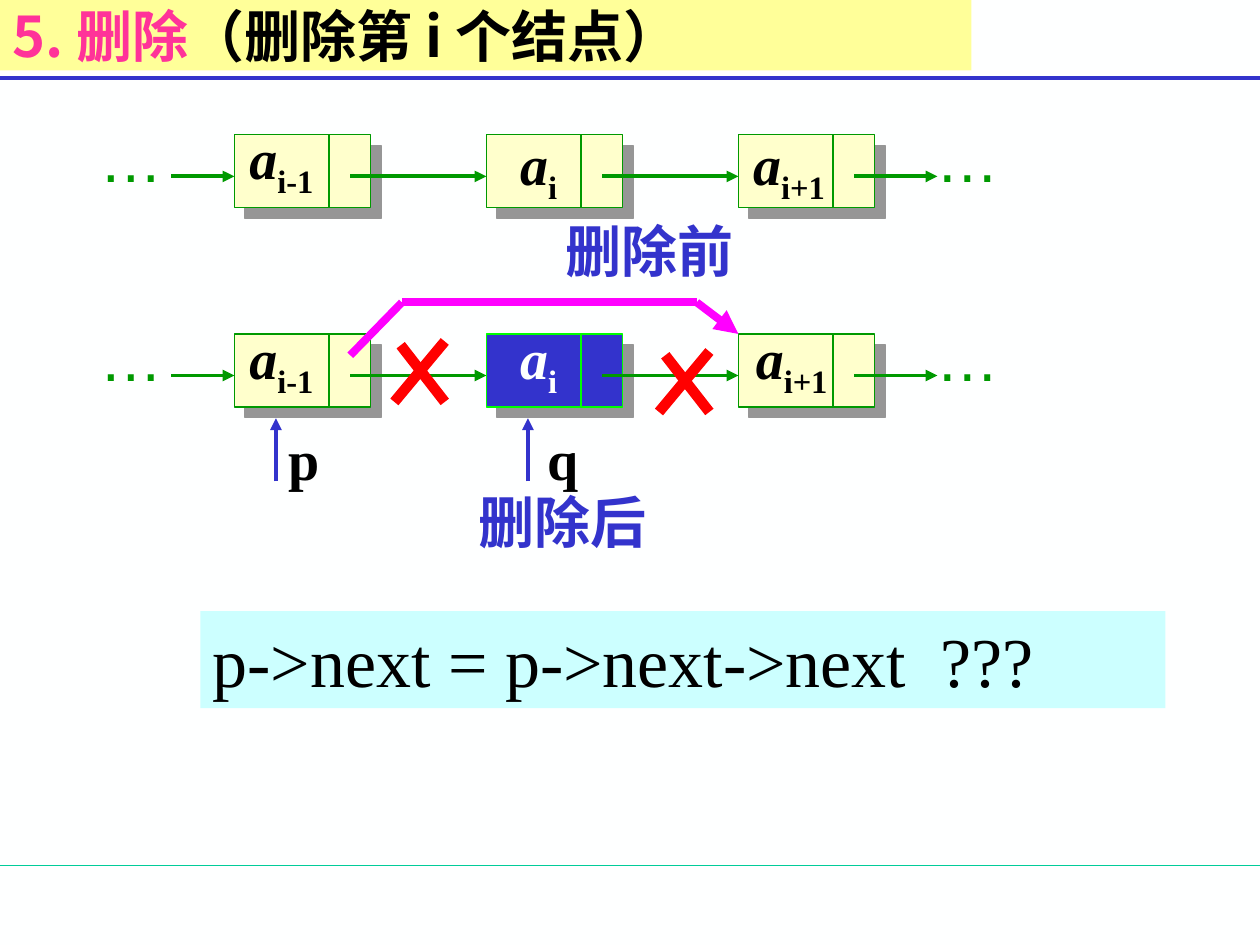
from lxml.etree import SubElement
from pptx import Presentation
from pptx.dml.color import RGBColor
from pptx.enum.shapes import MSO_CONNECTOR, MSO_SHAPE
from pptx.enum.text import MSO_ANCHOR, MSO_AUTO_SIZE, PP_ALIGN
from pptx.oxml.ns import qn
from pptx.util import Inches, Pt

COLORS = {
    "background": "FEFFFF", "black": "000000", "blue": "3333CC", "teal": "00CC99",
    "banner": "FFFF99", "pink": "FF3399", "code": "CCFFFF", "green": "009900",
    "node": "FFFFCC", "shadow": "969696", "lime": "00FF00", "magenta": "FF00FF",
    "red": "FF0000",
}
SERIF, SANS, CHINESE = "Times New Roman", "Arial", "Noto Sans CJK SC"
NODE_LEFTS = (1.86, 3.86, 5.86)
NODE_WIDTH, NODE_HEIGHT = 1.08, 0.58


def color(name):
    """Return the named colour."""
    return RGBColor.from_string(COLORS[name])


def add_line(shapes, start, end, color_name, width, arrow=False):
    """Draw a straight line, with an arrowhead at its end if asked."""
    line = shapes.add_connector(
        MSO_CONNECTOR.STRAIGHT, *(Inches(value) for value in (*start, *end)))
    line.line.color.rgb = color(color_name)
    line.line.width = Pt(width)
    if arrow:
        SubElement(line.line._get_or_add_ln(), qn("a:tailEnd"), type="triangle")
    SubElement(line._element.spPr, qn("a:effectLst"))


def add_run(paragraph, text, color_name, baseline=None, **formats):
    """Append a run with the given font values."""
    run = paragraph.add_run()
    run.text = text
    for key, value in {"size": Pt(32), "name": SERIF, **formats}.items():
        setattr(run.font, key, value)
    run.font.color.rgb = color(color_name)
    properties = run._r.get_or_add_rPr()
    SubElement(properties, qn("a:ea"), typeface=CHINESE)
    if baseline:
        properties.set("baseline", str(baseline))


def format_frame(frame, wrap, anchor=MSO_ANCHOR.TOP):
    """Set up a text frame and return its first paragraph."""
    values = {
        "word_wrap": wrap, "auto_size": MSO_AUTO_SIZE.NONE, "vertical_anchor": anchor,
        "margin_left": Inches(0.1), "margin_right": Inches(0.1),
        "margin_top": Inches(0.05), "margin_bottom": Inches(0.05),
    }
    for key, value in values.items():
        setattr(frame, key, value)
    paragraph = frame.paragraphs[0]
    paragraph.alignment = PP_ALIGN.LEFT
    return paragraph


def add_label(slide, box, text, color_name, subscript=None, **formats):
    """Add an unwrapped label, with an optional subscript."""
    label = slide.shapes.add_textbox(*(Inches(value) for value in box))
    paragraph = format_frame(label.text_frame, False)
    add_run(paragraph, text, color_name, **formats)
    if subscript:
        add_run(paragraph, subscript, color_name, baseline=-25000, bold=True)


def add_rectangle(slide, box, fill, outline=None):
    """Add a filled rectangle without a shadow."""
    shape = slide.shapes.add_shape(
        MSO_SHAPE.RECTANGLE, *(Inches(value) for value in box))
    shape.fill.solid()
    shape.fill.fore_color.rgb = color(fill)
    if outline:
        shape.line.color.rgb = color(outline)
        shape.line.width = Pt(0.75)
    else:
        shape.line.fill.background()
    shape.shadow.inherit = False
    return shape


def add_node(slide, left, top, fill, outline):
    """Add a shadowed list node with a pointer cell."""
    node = add_rectangle(slide, (left, top, NODE_WIDTH, NODE_HEIGHT), fill, outline)
    effects = node._element.spPr.find(qn("a:effectLst"))
    shadow = SubElement(effects, qn("a:outerShdw"), dist=str(Pt(8.5)),
                        dir="2700000", algn="ctr", rotWithShape="0")
    SubElement(shadow, qn("a:srgbClr"), val=COLORS["shadow"])
    divider = left + 0.75
    add_line(slide.shapes, (divider, top), (divider, top + NODE_HEIGHT), outline, 1.5)


def add_list(slide, top, deleted=None):
    """Add a row of linked nodes, highlighting the deleted one."""
    middle = top + 0.33
    add_line(slide.shapes, (1.36, middle), (1.86, middle), "green", 2.25, True)
    ends = (*NODE_LEFTS[1:], 7.44)
    for index, (left, end) in enumerate(zip(NODE_LEFTS, ends)):
        fill, outline = ("blue", "lime") if index == deleted else ("node", "green")
        add_node(slide, left, top, fill, outline)
        add_line(slide.shapes, (left + 0.92, middle), (end, middle), "green", 2.25, True)
    for left in (0.69, 7.33):
        add_label(slide, (left, top - 0.17, 0.7, 0.7), "…", "green",
                  size=Pt(36), name=SANS)


def add_cross(slide, left, top):
    """Add a grouped cross over a removed link."""
    shapes = slide.shapes.add_group_shape().shapes
    add_line(shapes, (left + 0.05, top + 0.03), (left + 0.4, top + 0.48), "red", 6)
    add_line(shapes, (left + 0.4, top), (left, top + 0.48), "red", 6)


def add_title(slide):
    """Place and format the title banner."""
    title = slide.shapes.title
    title.left, title.top, title.width, title.height = (
        Inches(value) for value in (0, 0, 7.71, 0.56))
    title.fill.solid()
    title.fill.fore_color.rgb = color("banner")
    paragraph = format_frame(title.text_frame, True, MSO_ANCHOR.MIDDLE)
    add_run(paragraph, "5. 删除", "pink", name=CHINESE, bold=True)
    add_run(paragraph, "（删除第 i 个结点）", "black", name=CHINESE, bold=True)


def main():
    """Build the slide on deleting a linked list node."""
    presentation = Presentation()
    presentation.slide_width, presentation.slide_height = Inches(10), Inches(7.5)
    slide = presentation.slides.add_slide(presentation.slide_layouts[5])
    slide.background.fill.solid()
    slide.background.fill.fore_color.rgb = color("background")
    add_title(slide)
    add_line(slide.shapes, (0, 6.87), (10, 6.87), "teal", 0.75)
    add_line(slide.shapes, (0, 0.62), (10, 0.62), "blue", 2.25)

    code = add_rectangle(slide, (1.59, 4.85, 7.66, 0.77), "code")
    add_run(format_frame(code.text_frame, True),
            "p->next = p->next->next  ???", "black", size=Pt(40))

    add_list(slide, 1.07)
    add_list(slide, 2.65, deleted=1)
    for left, top, width, subscript, color_name in (
        (1.88, 0.93, 0.71, "i-1", "black"),
        (1.88, 2.52, 0.71, "i-1", "black"),
        (4.03, 0.98, 0.49, "i", "black"),
        (4.03, 2.52, 0.49, "i", "background"),
        (5.88, 0.98, 0.77, "i+1", "black"),
        (5.9, 2.52, 0.77, "i+1", "black"),
    ):
        add_label(slide, (left, top, width, 0.71), "a", color_name, subscript,
                  bold=True, italic=True)

    for pointer, arrow_left, label_left in (("p", 2.19, 2.19), ("q", 4.19, 4.25)):
        add_line(slide.shapes, (arrow_left, 3.82), (arrow_left, 3.32), "blue", 2.25, True)
        add_label(slide, (label_left, 3.32, 0.45, 0.64), pointer, "black", bold=True)

    add_line(slide.shapes, (2.78, 2.82), (3.19, 2.4), "magenta", 4.5)
    add_line(slide.shapes, (5.53, 2.4), (5.86, 2.65), "magenta", 4.5, True)
    add_line(slide.shapes, (5.53, 2.4), (3.19, 2.4), "magenta", 4.5)

    for text, left, top in (("删除前", 4.39, 1.67), ("删除后", 3.7, 3.82)):
        add_label(slide, (left, top, 1.53, 0.64), text, "blue", bold=True)
    for left, top in ((3.13, 2.71), (5.23, 2.79)):
        add_cross(slide, left, top)
    presentation.save("out.pptx")


if __name__ == "__main__":
    main()
